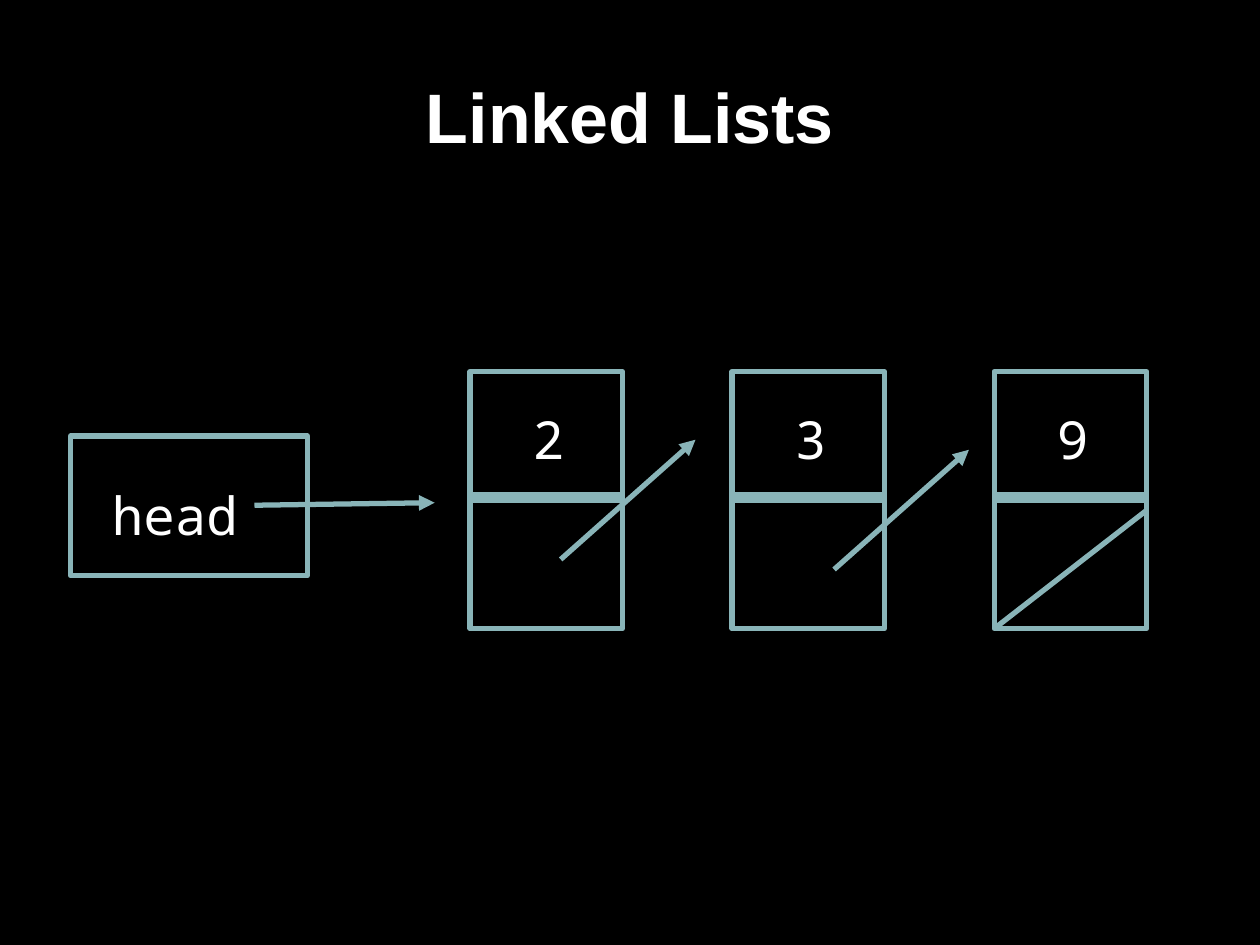
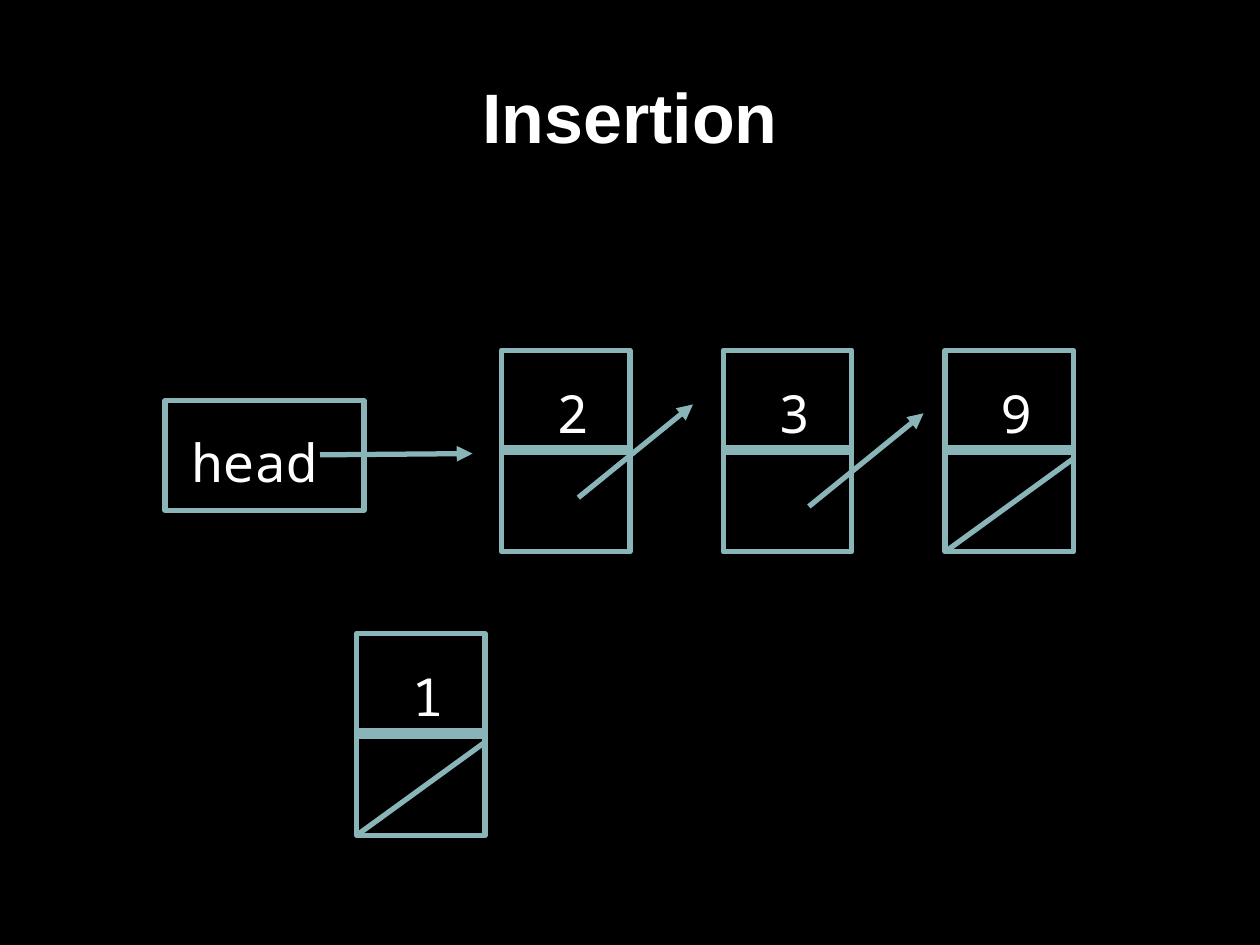
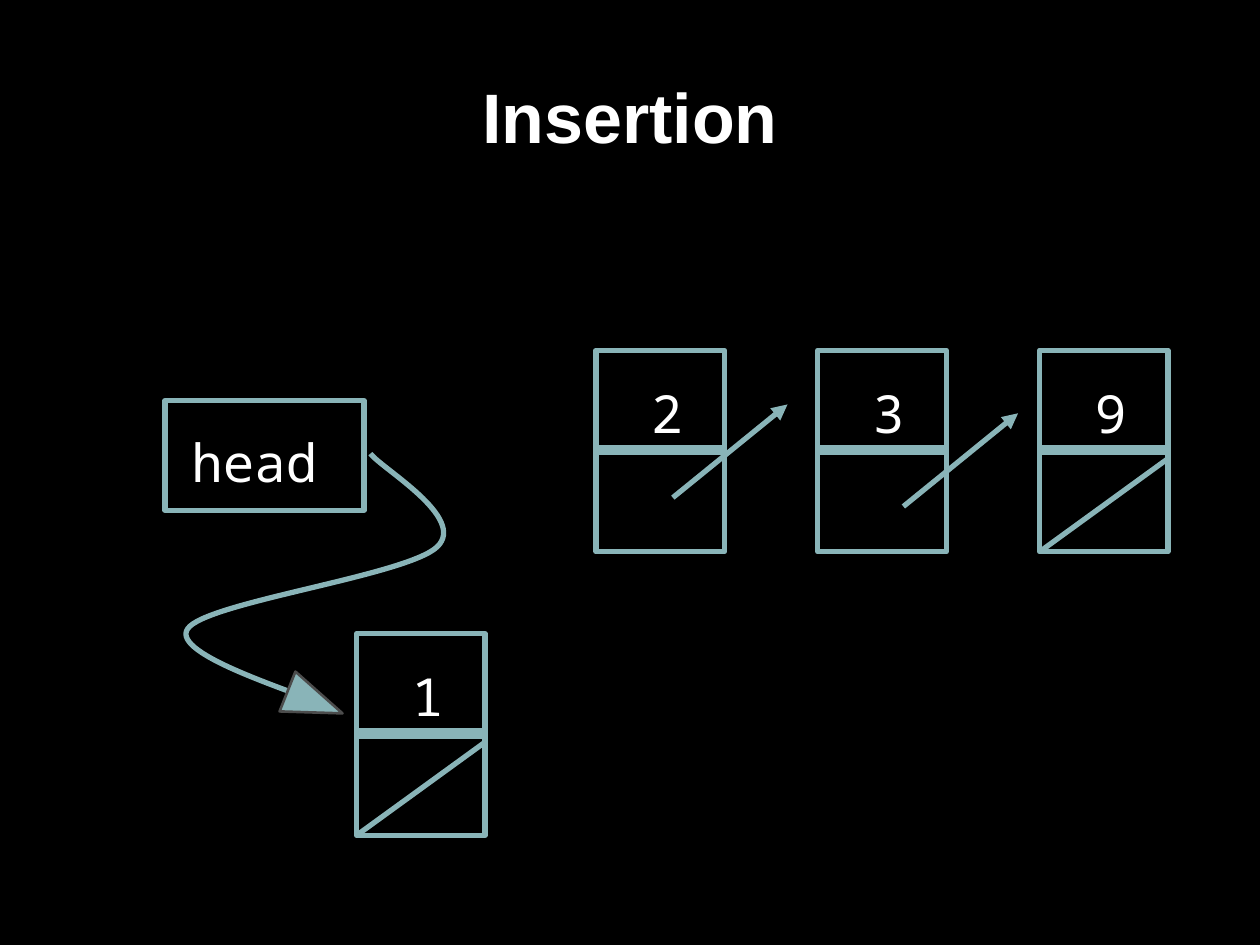
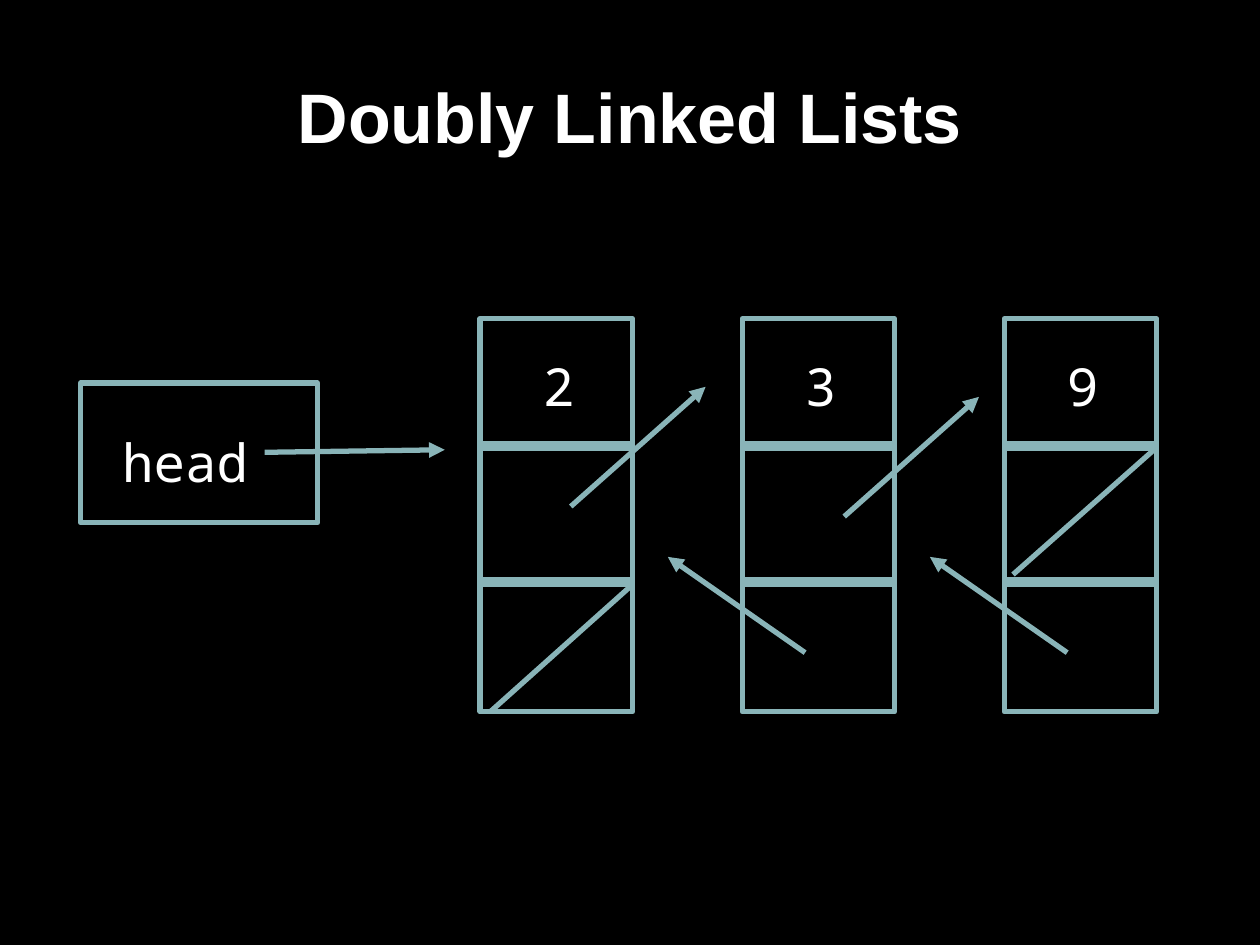
"""Build four slides on singly and doubly linked lists."""
from lxml import etree
from pptx import Presentation
from pptx.dml.color import RGBColor
from pptx.enum.shapes import MSO_CONNECTOR, MSO_SHAPE
from pptx.enum.text import MSO_ANCHOR, MSO_AUTO_SIZE, PP_ALIGN
from pptx.oxml.ns import qn
from pptx.util import Inches, Pt

RECT, WEDGE = MSO_SHAPE.RECTANGLE, MSO_SHAPE.ISOSCELES_TRIANGLE
STRAIGHT = MSO_CONNECTOR.STRAIGHT
TOP, MIDDLE = MSO_ANCHOR.TOP, MSO_ANCHOR.MIDDLE
LEFT, CENTER = PP_ALIGN.LEFT, PP_ALIGN.CENTER
FIXED = MSO_AUTO_SIZE.NONE

COLORS = {"back": "000000", "text": "FFFFFF", "line": "89B4B8", "edge": "4C4C4C"}
TITLE_BOX = (0.66, 0.28, 8.68, 1.39)

BIG = {
    "size": (1.21, 2.04), "cuts": [1.0], "label": (0.4, 0.18, 0.57, 0.57),
    "pitch": 2.08, "drift": (0.09, 0.08), "next": (0.72, 1.49, 1.79, 0.54),
    "null": (1.21, 1.1, 0, 2.04),
    "head": (1.88, 1.11), "name": (0.23, 0.27, 1.31, 0.57),
    "first": (1.46, 0.55, 2.89, 0.53),
}
SMALL = {
    "size": (1.02, 1.6), "cuts": [0.79], "label": (0.34, 0.14, 0.48, 0.45),
    "pitch": 1.76, "drift": (0.07, 0.07), "next": (0.61, 1.17, 1.52, 0.43),
    "null": (1.02, 0.86, 0, 1.6),
    "head": (1.58, 0.87), "name": (0.11, 0.13, 1.37, 0.45),
    "first": (1.23, 0.43, 2.44, 0.42),
}
DOUBLE = BIG | {
    "size": (1.21, 3.12), "cuts": [1.01, 2.09], "null": (1.2, 1.03, 0.07, 2.03),
    "back": (0.5, 2.65, -0.59, 1.89), "start": (1.21, 2.11, 0.08, 3.12),
}

VALUES = ["2", "3", "9"]
SLIDES = [
    {"title": "Linked Lists", "style": BIG, "list": (3.73, 2.95), "head": (0.56, 3.46)},
    {"title": "Insertion", "style": SMALL, "list": (3.98, 2.78), "head": (1.31, 3.18),
     "added": (2.83, 5.03)},
    {"title": "Insertion", "style": SMALL, "list": (4.73, 2.78), "head": (1.31, 3.18),
     "added": (2.83, 5.03), "curved": True},
    {"title": "Doubly Linked Lists", "style": DOUBLE, "list": (3.81, 2.53),
     "head": (0.64, 3.04)},
]
CURVE = [
    (2.94, 3.6),
    (3.03, 3.72), (3.71, 4.11), (3.47, 4.34),
    (3.23, 4.57), (1.63, 4.78), (1.49, 4.99),
    (1.34, 5.2), (2.42, 5.51), (2.6, 5.61),
]
TIP = (2.33, 5.34, 0.34, 0.47)
TURN = 111.7


def color(name):
    return RGBColor.from_string(COLORS[name])


def inches(*nums):
    return [Inches(num) for num in nums]


def shift(spot, part):
    x, y = spot
    return [num + (y if i % 2 else x) for i, num in enumerate(part)]


def place(spot, box):
    return (*shift(spot, box[:2]), *box[2:])


def write(shape, text, font="Noto Sans Mono", size=30, bold=False, align=LEFT,
          anchor=TOP, spacing=None, bottom=0.1):
    frame = shape.text_frame
    frame.word_wrap = True
    frame.auto_size = FIXED
    frame.vertical_anchor = anchor
    frame.margin_left = frame.margin_right = frame.margin_top = Inches(0.1)
    frame.margin_bottom = Inches(bottom)
    para = frame.paragraphs[0]
    para.alignment = align
    para.line_spacing = spacing
    run = para.add_run()
    run.text = text
    run.font.name, run.font.size, run.font.bold = font, Pt(size), bold
    run.font.color.rgb = color("text")


def label(slide, box, text):
    write(slide.shapes.add_textbox(*inches(*box)), text)


def paint(shape, line="line", width=3, fill=None):
    shape.shadow.inherit = False
    if fill:
        shape.fill.solid()
        shape.fill.fore_color.rgb = color(fill)
    else:
        shape.fill.background()
    shape.line.color.rgb = color(line)
    shape.line.width = Pt(width)


def frame(slide, box):
    paint(slide.shapes.add_shape(RECT, *inches(*box)))


def stroke(slide, ends, width=3, arrow=False):
    link = slide.shapes.add_connector(STRAIGHT, *inches(*ends))
    link.line.color.rgb = color("line")
    link.line.width = Pt(width)
    props = link._element.spPr
    if arrow:
        etree.SubElement(props.find(qn("a:ln")), qn("a:tailEnd"), type="triangle")
    etree.SubElement(props, qn("a:effectLst"))


def node(slide, spot, value, style):
    width, height = style["size"]
    frame(slide, (*spot, width, height))
    for cut in style["cuts"]:
        stroke(slide, shift(spot, (0, cut, width, cut)), width=6)
    label(slide, place(spot, style["label"]), value)


def chain(slide, spot, style):
    x, y = spot
    spots = [(x + i * style["pitch"], y) for i in range(len(VALUES))]
    for at, value in zip(spots, VALUES):
        node(slide, at, value, style)
    for i, at in enumerate(spots[:-1]):
        drift = [i * num for num in style["drift"]]
        stroke(slide, shift(at, shift(drift, style["next"])), arrow=True)
    stroke(slide, shift(spots[-1], style["null"]))
    if "back" in style:
        stroke(slide, shift(spot, style["start"]))
        for at in spots[1:]:
            stroke(slide, shift(at, style["back"]), arrow=True)


def head(slide, spot, style, arrow):
    frame(slide, (*spot, *style["head"]))
    if arrow:
        stroke(slide, shift(spot, style["first"]), arrow=True)
    label(slide, place(spot, style["name"]), "head")


def curve(slide):
    points = [inches(*point) for point in CURVE]
    pen = slide.shapes.build_freeform(*points[0])
    pen.add_line_segments(points[1:], close=False)
    shape = pen.convert_to_shape()
    paint(shape)
    steps = list(shape._element.iter(qn("a:lnTo")))
    for i in range(0, len(steps), 3):
        bend = etree.Element(qn("a:cubicBezTo"))
        steps[i].addprevious(bend)
        for step in steps[i:i + 3]:
            bend.append(step[0])
            step.getparent().remove(step)
    tip = slide.shapes.add_shape(WEDGE, *inches(*TIP))
    tip.rotation = TURN
    paint(tip, line="edge", width=1.5, fill="line")


def build(deck, data):
    slide = deck.slides.add_slide(deck.slide_layouts[5])
    title = slide.shapes.title
    title.left, title.top, title.width, title.height = inches(*TITLE_BOX)
    write(title, data["title"], font="Arial", size=40, bold=True, align=CENTER,
          anchor=MIDDLE, spacing=1.15, bottom=0.32)
    style, curved = data["style"], data.get("curved", False)
    chain(slide, data["list"], style)
    head(slide, data["head"], style, not curved)
    if "added" in data:
        node(slide, data["added"], "1", style)
        stroke(slide, shift(data["added"], style["null"]))
    if curved:
        curve(slide)


def main():
    deck = Presentation()
    deck.slide_width, deck.slide_height = inches(10, 7.5)
    back = deck.slide_master.background.fill
    back.solid()
    back.fore_color.rgb = color("back")
    for data in SLIDES:
        build(deck, data)
    deck.save("out.pptx")


main()
